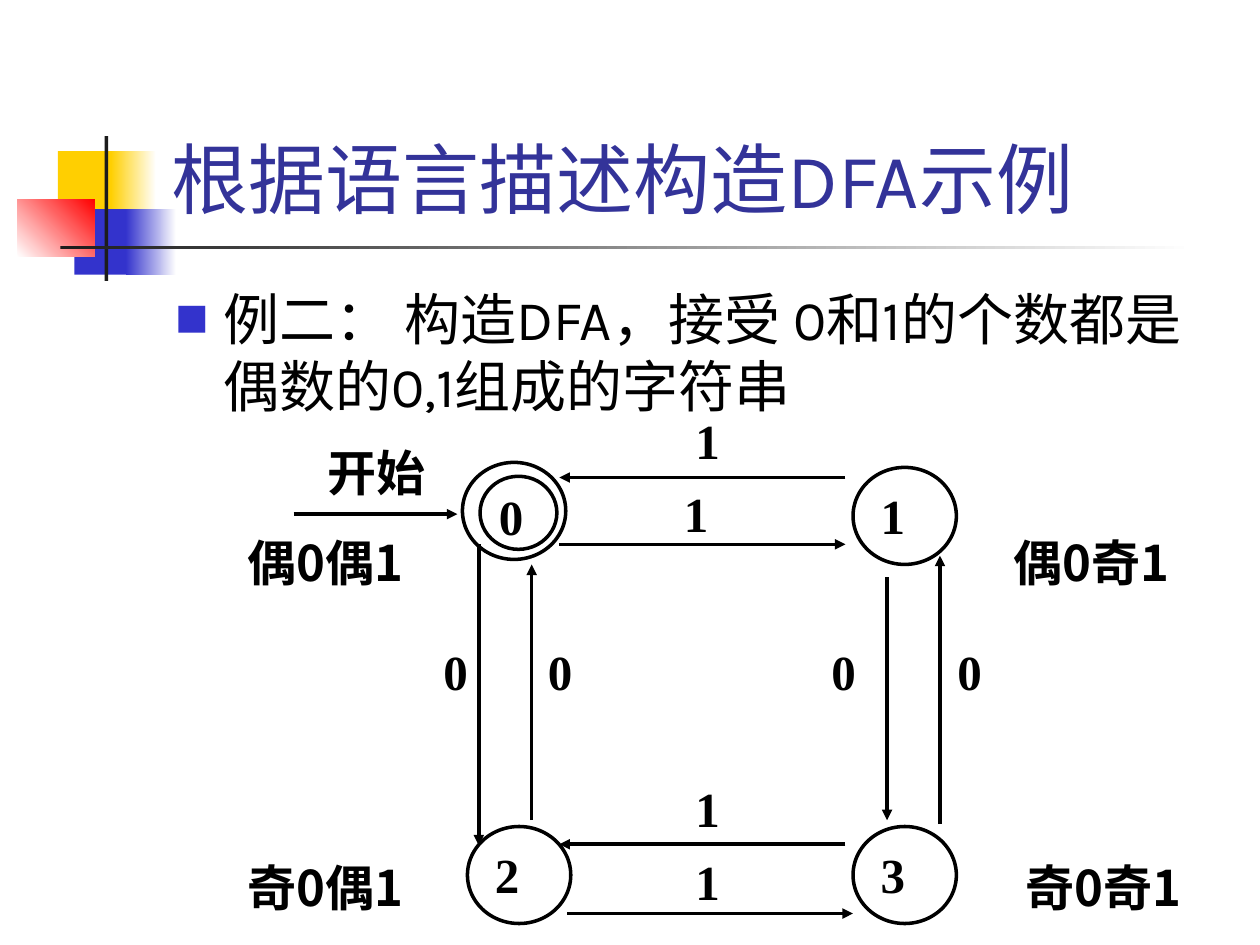
import lxml.etree
import pptx
import pptx.dml.color
import pptx.enum.dml
import pptx.enum.shapes
import pptx.enum.text
import pptx.oxml.ns
import pptx.util

Inches = pptx.util.Inches
Pt = pptx.util.Pt
qn = pptx.oxml.ns.qn
SHAPE = pptx.enum.shapes.MSO_SHAPE
ALIGN = pptx.enum.text.PP_ALIGN
ANCHOR = pptx.enum.text.MSO_ANCHOR
FIT = pptx.enum.text.MSO_AUTO_SIZE

KARLA = "Karla"
NOTO = "Noto Sans CJK SC"
TIMES = "Times New Roman"
BLACK = "000000"
WHITE = "FFFFFF"
BOLD = {"size": Pt(28), "bold": True}


def color(code):
    return pptx.dml.color.RGBColor.from_string(code)


def apply(item, style):
    for name, value in style.items():
        setattr(item, name, value)


def child(node, tag, **values):
    return lxml.etree.SubElement(node, qn(tag), values)


def write(par, text, face, code, style, asian=NOTO):
    run = par.add_run()
    run.text = text
    apply(run.font, {**style, "name": face})
    run.font.color.rgb = color(code)
    child(run.font._element, "a:ea", typeface=asian)


def margins(frame, left, top, right, bottom):
    apply(frame, {
        "margin_left": Inches(left), "margin_top": Inches(top),
        "margin_right": Inches(right), "margin_bottom": Inches(bottom),
    })


def place(shape, left, top, width, height):
    apply(shape, {
        "left": Inches(left), "top": Inches(top),
        "width": Inches(width), "height": Inches(height),
    })


def block(slide, box, first, last=None, angle=0):
    shape = slide.shapes.add_shape(SHAPE.RECTANGLE, *map(Inches, box))
    shape.shadow.inherit = False
    shape.line.fill.background()
    if last is None:
        shape.fill.solid()
        shape.fill.fore_color.rgb = color(first)
        return
    shape.fill.gradient()
    shape.fill.gradient_angle = angle
    stops = shape.fill.gradient_stops
    for stop, code, spot in zip(stops, (first, last), (0, 1)):
        stop.color.rgb = color(code)
        stop.position = spot


def ring(slide, box, text="", inset=(0.1, 0.03, 0.1, 0.05)):
    shape = slide.shapes.add_shape(SHAPE.OVAL, *map(Inches, box))
    shape.shadow.inherit = False
    shape.fill.background()
    shape.line.color.rgb = color(BLACK)
    shape.line.width = Pt(2)
    if text:
        frame = shape.text_frame
        margins(frame, *inset)
        frame.vertical_anchor = ANCHOR.TOP
        par = frame.paragraphs[0]
        par.alignment = ALIGN.JUSTIFY
        write(par, text, TIMES, BLACK, BOLD)


def arrow(slide, *ends):
    kind = pptx.enum.shapes.MSO_CONNECTOR.STRAIGHT
    line = slide.shapes.add_connector(kind, *map(Inches, ends))
    line.line.color.rgb = color(BLACK)
    line.line.width = Pt(2)
    child(line.line._get_or_add_ln(), "a:tailEnd", type="triangle")
    child(line._element.spPr, "a:effectLst")


def label(slide, text, box, face, inset, align, style):
    frame = slide.shapes.add_textbox(*map(Inches, box)).text_frame
    margins(frame, *inset)
    apply(frame, style)
    par = frame.paragraphs[0]
    par.alignment = align
    write(par, text, face, BLACK, BOLD)


def mark(slide, text, left, top, width):
    label(slide, text, (left, top, width, 0.53), TIMES,
          (0.1, 0.01, 0.1, 0.05), ALIGN.JUSTIFY, {"word_wrap": True})


def parity(slide, text, left, top):
    label(slide, text, (left, top, 1.67, 0.92), NOTO,
          (0.06, 0.03, 0.06, 0.03), ALIGN.CENTER,
          {"word_wrap": False, "vertical_anchor": ANCHOR.MIDDLE})


def decor(slide):
    block(slide, (0.46, 1.2, 0.48, 0.52), "FFCF01")
    block(slide, (0.88, 1.2, 0.36, 0.52), "FFCF01", WHITE)
    block(slide, (0.59, 1.66, 0.46, 0.52), "3333CC")
    block(slide, (1, 1.66, 0.4, 0.52), "3333CC", WHITE)
    block(slide, (0.14, 1.58, 0.61, 0.46), WHITE, "FF0000", 45)
    block(slide, (0.83, 1.08, 0.03, 1.15), "1C1C1C")
    block(slide, (0.48, 1.95, 9, 0.03), "1C1C1C", WHITE)


def title(slide):
    shape = slide.shapes.title
    place(shape, 1.26, 0.23, 8.52, 1.6)
    apply(shape.text_frame, {"auto_size": FIT.NONE, "vertical_anchor": ANCHOR.BOTTOM})
    par = shape.text_frame.paragraphs[0]
    par.alignment = ALIGN.LEFT
    write(par, "根据语言描述构造DFA示例", KARLA, "333399", {"size": Pt(44)}, KARLA)


def body(slide):
    shape = slide.placeholders[1]
    place(shape, 1.29, 2.21, 8.5, 4.5)
    apply(shape.text_frame, {"auto_size": FIT.NONE, "vertical_anchor": ANCHOR.TOP})
    par = shape.text_frame.paragraphs[0]
    prop = par._p.get_or_add_pPr()
    prop.set("marL", str(Inches(0.38)))
    prop.set("indent", str(Inches(-0.38)))
    child(child(prop, "a:buClr"), "a:srgbClr", val="3333CC")
    child(prop, "a:buSzPct", val="60000")
    child(prop, "a:buFont", typeface=NOTO)
    child(prop, "a:buChar", char="■")
    par.space_before = Pt(0)
    parts = ("例二： 构造DFA", "，接受 ", "0", "和", "1",
             "的个数都是偶数的", "0,1", "组成的字符串")
    for rank, text in enumerate(parts):
        face = NOTO if rank % 2 else KARLA
        write(par, text, face, BLACK, {"size": Pt(32)}, KARLA)


def graph(slide):
    ring(slide, (3.67, 3.67, 0.82, 0.77))
    ring(slide, (3.81, 3.78, 0.61, 0.58), "0", (0.06, 0, 0.04, 0))
    for text, left, top in (("1", 6.77, 3.71), ("2", 3.71, 6.56), ("3", 6.77, 6.56)):
        ring(slide, (left, top, 0.82, 0.77), text)
    for ends in (
        (2.33, 4.08, 3.63, 4.08),
        (4.44, 4.32, 6.71, 4.32), (6.71, 3.79, 4.44, 3.79),
        (6.71, 6.7, 4.44, 6.7), (4.5, 7.25, 6.77, 7.25),
        (3.8, 4.32, 3.8, 6.71), (4.22, 6.51, 4.22, 4.48),
        (7.04, 4.58, 7.04, 6.51), (7.46, 6.54, 7.46, 4.41),
    ):
        arrow(slide, *ends)
    for left, top in ((5.42, 3.25), (5.33, 3.83), (5.42, 6.17), (5.42, 6.75)):
        mark(slide, "1", left, top, 0.65)
    for left in (3.42, 4.25, 6.5, 7.5):
        mark(slide, "0", left, 5.08, 0.97)
    mark(slide, "开始", 2.5, 3.5, 1.62)
    for text, left, top in (
        ("偶0偶1", 1.75, 4), ("偶0奇1", 7.83, 4),
        ("奇0偶1", 1.75, 6.58), ("奇0奇1", 7.92, 6.58),
    ):
        parity(slide, text, left, top)


def main():
    deck = pptx.Presentation()
    apply(deck, {"slide_width": Inches(10), "slide_height": Inches(7.5)})
    slide = deck.slides.add_slide(deck.slide_layouts[1])
    decor(slide)
    title(slide)
    body(slide)
    graph(slide)
    deck.save("out.pptx")


if __name__ == "__main__":
    main()
